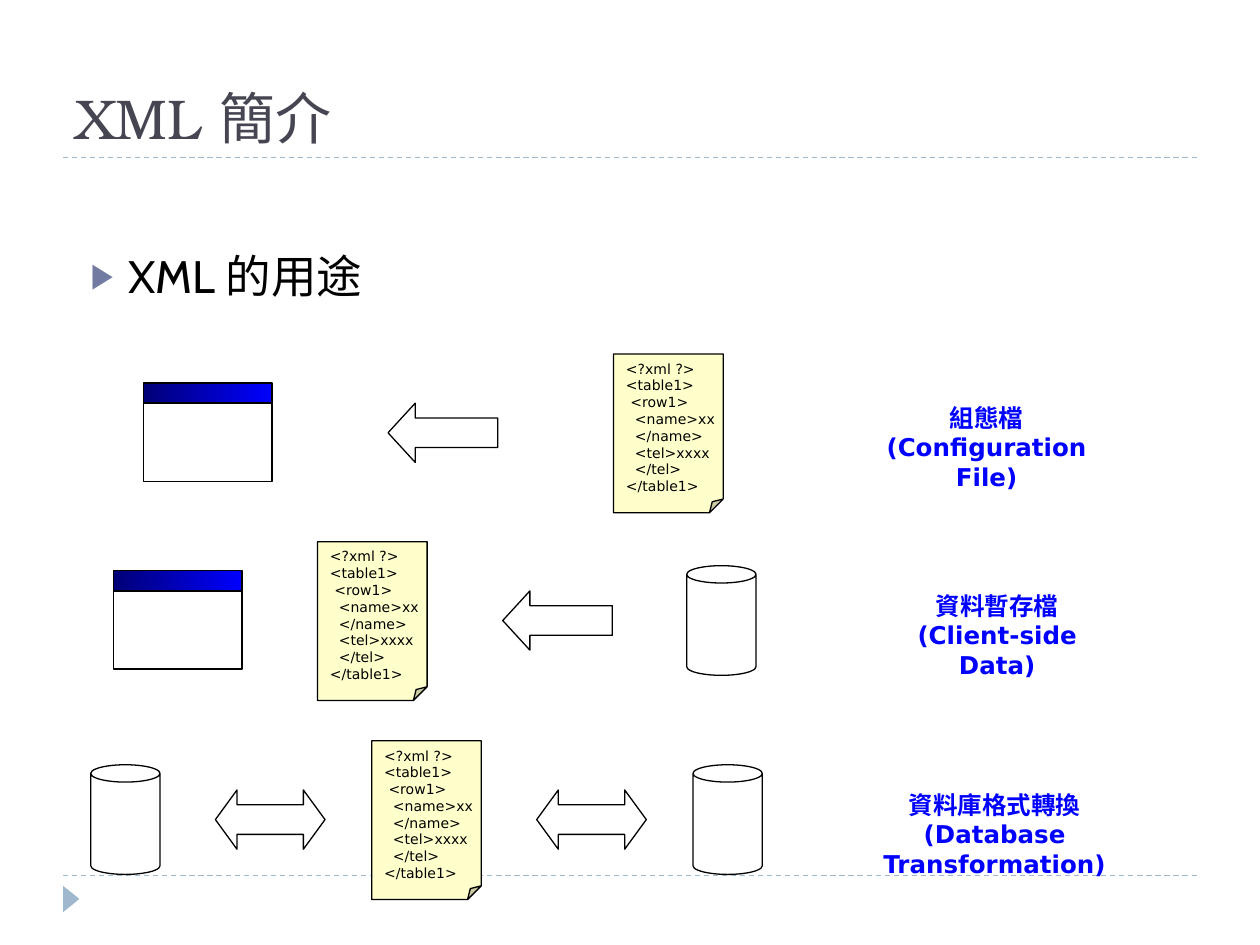
from dataclasses import dataclass

from lxml.etree import SubElement
from pptx import Presentation
from pptx.dml.color import RGBColor
from pptx.enum.dml import MSO_LINE
from pptx.enum.shapes import MSO_CONNECTOR, MSO_SHAPE
from pptx.enum.text import MSO_ANCHOR, MSO_AUTO_SIZE, PP_ALIGN
from pptx.oxml.ns import qn
from pptx.util import Inches, Pt


@dataclass(frozen=True)
class Theme:
    ink: str = "000000"
    paper: str = "FFFFFF"
    note: str = "FFFFCC"
    heading: str = "464653"
    bullet: str = "727CA3"
    accent: str = "9FB8CD"
    label: str = "0000FF"
    bar_dark: str = "000076"
    bar_light: str = "0000FF"
    title_font: str = "TeX Gyre Bonum"
    body_font: str = "Cabin"
    label_font: str = "DejaVu Sans"
    title_size: int = 32
    body_size: int = 26
    label_size: int = 14
    code_size: int = 8


XML_LINES = ["<?xml ?>", "<table1>", " <row1>", "  <name>xx", "  </name>",
             "  <tel>xxxx", "  </tel>", "</table1>"]
ROW_CENTERS = 3.44, 4.93, 6.51


def write(frame, lines, *, font, size, color, bold=False,
          align=PP_ALIGN.LEFT, anchor=MSO_ANCHOR.TOP, wrap=True,
          fit=MSO_AUTO_SIZE.NONE):
    """Put one paragraph per line into a text frame."""
    frame.text = "\n".join(lines)
    frame.word_wrap = wrap
    frame.auto_size = fit
    frame.vertical_anchor = anchor
    for paragraph in frame.paragraphs:
        paragraph.alignment = align
        for run in paragraph.runs:
            run.font.name = font
            run.font.size = Pt(size)
            run.font.bold = bold
            run.font.color.rgb = RGBColor.from_string(color)


class SlideBuilder:
    def __init__(self, slide, theme):
        self.slide = slide
        self.theme = theme

    def place(self, shape, left, top, width, height):
        shape.left, shape.top = Inches(left), Inches(top)
        shape.width, shape.height = Inches(width), Inches(height)

    def title(self, text):
        theme, title = self.theme, self.slide.shapes.title
        self.place(title, 0.5, 0.17, 9, 1.08)
        write(title.text_frame, [text], font=theme.title_font,
              size=theme.title_size, color=theme.heading,
              anchor=MSO_ANCHOR.BOTTOM)

    def bullet(self, text):
        theme, body = self.theme, self.slide.placeholders[1]
        self.place(body, 0.62, 1.92, 8.75, 0.65)
        write(body.text_frame, [text], font=theme.body_font,
              size=theme.body_size, color=theme.ink)
        paragraph = body.text_frame.paragraphs[0]
        paragraph.space_before = Pt(0)
        props = paragraph._p.get_or_add_pPr()
        props.set("marL", str(Inches(0.3)))
        props.set("indent", str(-Inches(0.3)))
        color = SubElement(props, qn("a:buClr"))
        SubElement(color, qn("a:srgbClr"), val=theme.bullet)
        SubElement(props, qn("a:buSzPct"), val="76000")
        SubElement(props, qn("a:buChar"), char="▶")

    def rule(self, y):
        line = self.slide.shapes.add_connector(
            MSO_CONNECTOR.STRAIGHT, Inches(0.5), Inches(y), Inches(9.5), Inches(y))
        line.line.color.rgb = RGBColor.from_string(self.theme.accent)
        line.line.width = Pt(0.75)
        line.line.dash_style = MSO_LINE.DASH
        SubElement(line._element.spPr, qn("a:effectLst"))

    def shape(self, kind, left, top, width, height, fill=None, outlined=True,
              parent=None):
        shapes = (parent or self.slide).shapes
        item = shapes.add_shape(kind, Inches(left), Inches(top),
                                Inches(width), Inches(height))
        item.shadow.inherit = False
        item.fill.solid()
        item.fill.fore_color.rgb = RGBColor.from_string(fill or self.theme.paper)
        if outlined:
            item.line.color.rgb = RGBColor.from_string(self.theme.ink)
            item.line.width = Pt(0.75)
        else:
            item.line.fill.background()
        return item

    def page_marker(self):
        marker = self.shape(MSO_SHAPE.ISOSCELES_TRIANGLE, 0.46, 7.07, 0.21, 0.13,
                            fill=self.theme.accent, outlined=False)
        marker.rotation = 90

    def window(self, left, center):
        group = self.slide.shapes.add_group_shape()
        top = center - 0.4
        bar = self.shape(MSO_SHAPE.RECTANGLE, left, top, 1.02, 0.16, parent=group)
        bar.fill.gradient()
        bar.fill.gradient_angle = 0
        shades = self.theme.bar_dark, self.theme.bar_light
        for stop, shade in zip(bar.fill.gradient_stops, shades):
            stop.color.rgb = RGBColor.from_string(shade)
        self.shape(MSO_SHAPE.RECTANGLE, left, top + 0.16, 1.02, 0.62, parent=group)

    def xml_sheet(self, left, center):
        theme = self.theme
        sheet = self.shape(MSO_SHAPE.FOLDED_CORNER, left, center - 0.63, 0.87, 1.26,
                           fill=theme.note)
        # The library lists no adjustment for this preset, so the fold is set in XML
        guides = sheet._element.spPr.find(qn("a:prstGeom")).get_or_add_avLst()
        SubElement(guides, qn("a:gd"), name="adj", fmla="val 12500")
        write(sheet.text_frame, XML_LINES, font=theme.label_font,
              size=theme.code_size, color=theme.ink, wrap=False)

    def database(self, left, center):
        self.shape(MSO_SHAPE.CAN, left, center - 0.44, 0.55, 0.87)

    def arrow(self, left, center, both_ways=False):
        if both_ways:
            kind, head = MSO_SHAPE.LEFT_RIGHT_ARROW, 0.365
        else:
            kind, head = MSO_SHAPE.LEFT_ARROW, 0.459
        arrow = self.shape(kind, left, center - 0.24, 0.87, 0.47)
        arrow.adjustments[1] = head

    def label(self, left, width, center, lines):
        theme = self.theme
        box = self.slide.shapes.add_textbox(
            Inches(left), Inches(center - 0.29), Inches(width), Inches(0.57))
        write(box.text_frame, lines, font=theme.label_font, size=theme.label_size,
              color=theme.label, bold=True, align=PP_ALIGN.CENTER,
              fit=MSO_AUTO_SIZE.SHAPE_TO_FIT_TEXT)


def main():
    deck = Presentation()
    deck.slide_width, deck.slide_height = Inches(10), Inches(7.5)
    builder = SlideBuilder(deck.slides.add_slide(deck.slide_layouts[1]), Theme())
    config_row, cache_row, transform_row = ROW_CENTERS

    # Frame and headings
    for y in (6.95, 1.25):
        builder.rule(y)
    builder.page_marker()
    builder.title("XML 簡介")
    builder.bullet("XML 的用途")

    # Configuration file: sheet to window
    builder.window(1.14, config_row)
    builder.arrow(3.08, config_row)
    builder.xml_sheet(4.87, config_row)
    builder.label(6.79, 2.08, config_row, ["組態檔", "(Configuration File)"])

    # Client-side data: database to sheet beside window
    builder.window(0.9, cache_row)
    builder.xml_sheet(2.52, cache_row)
    builder.arrow(3.99, cache_row)
    builder.database(5.45, cache_row)
    builder.label(6.98, 1.87, cache_row, ["資料暫存檔", "(Client-side Data)"])

    # Database transformation: sheet between two databases
    for left in (0.72, 5.5):
        builder.database(left, transform_row)
    builder.xml_sheet(2.95, transform_row)
    for left in (1.71, 4.26):
        builder.arrow(left, transform_row, both_ways=True)
    builder.label(6.48, 2.83, transform_row,
                  ["資料庫格式轉換", "(Database Transformation)"])

    deck.save("out.pptx")


if __name__ == "__main__":
    main()
